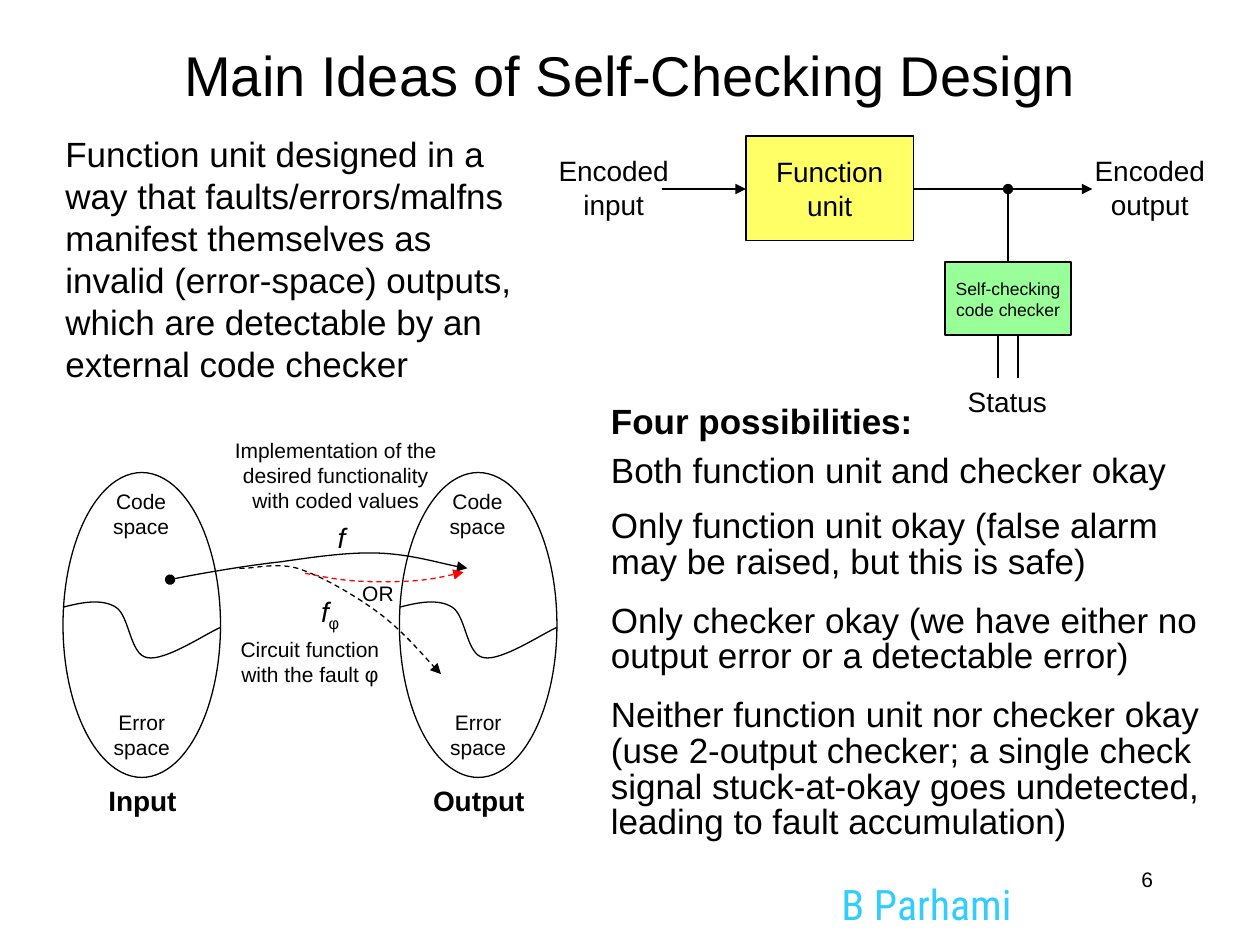
from lxml import etree
from pptx import Presentation
from pptx.dml.color import RGBColor
from pptx.enum import dml, shapes, text
from pptx.oxml import ns
from pptx.util import Inches, Pt

BLACK = "000000"
LEFT, CENTER, RIGHT = text.PP_ALIGN.LEFT, text.PP_ALIGN.CENTER, text.PP_ALIGN.RIGHT
TOP, MIDDLE = text.MSO_ANCHOR.TOP, text.MSO_ANCHOR.MIDDLE


def color(value):
    return RGBColor.from_string(value)


def format_run(run, size, fill=BLACK, bold=False, italic=False, font="Arial"):
    run.font.size = Pt(size)
    run.font.name = font
    run.font.bold = bold
    run.font.italic = italic
    run.font.color.rgb = color(fill)


def write(shape, content, size=12, align=CENTER, anchor=TOP, spacing=None,
          margin=0.1, **font):
    frame = shape.text_frame
    frame.word_wrap = True
    frame.vertical_anchor = anchor
    frame.margin_left = frame.margin_right = Inches(margin)
    frame.margin_top = frame.margin_bottom = Inches(0.05)
    for index, line in enumerate(content.split("\n")):
        paragraph = frame.add_paragraph() if index else frame.paragraphs[0]
        paragraph.alignment = align
        if spacing:
            paragraph.line_spacing = spacing
        run = paragraph.add_run()
        run.text = line
        format_run(run, size, **font)
    return frame


def add_text(slide, left, top, width, height, content, **style):
    box = slide.shapes.add_textbox(Inches(left), Inches(top), Inches(width), Inches(height))
    return write(box, content, **style)


def add_box(slide, kind, left, top, width, height, fill):
    shape = slide.shapes.add_shape(kind, Inches(left), Inches(top), Inches(width), Inches(height))
    shape.shadow.inherit = False
    shape.fill.solid()
    shape.fill.fore_color.rgb = color(fill)
    shape.line.color.rgb = color(BLACK)
    shape.line.width = Pt(0.75)
    return shape


def style_line(shape, stroke=BLACK, head=None, tail=None, dashed=False):
    shape.line.color.rgb = color(stroke)
    shape.line.width = Pt(0.75)
    if dashed:
        shape.line.dash_style = dml.MSO_LINE.DASH
    outline = shape.line._get_or_add_ln()
    for tag, kind in (("a:headEnd", head), ("a:tailEnd", tail)):
        if kind:
            etree.SubElement(outline, ns.qn(tag)).set("type", kind)


def add_line(slide, x1, y1, x2, y2, **style):
    connector = slide.shapes.add_connector(
        shapes.MSO_CONNECTOR.STRAIGHT, Inches(x1), Inches(y1), Inches(x2), Inches(y2))
    style_line(connector, **style)
    etree.SubElement(connector._element.spPr, ns.qn("a:effectLst"))


def add_curve(slide, left, top, points, **style):
    points = [(Inches(left + x), Inches(top + y)) for x, y in points]
    builder = slide.shapes.build_freeform(*points[0])
    builder.add_line_segments(points[1:], close=False)
    curve = builder.convert_to_shape()
    segments = list(curve._element.iter(ns.qn("a:lnTo")))
    outline = segments[0].getparent()
    for start in range(0, len(segments), 3):
        bezier = etree.SubElement(outline, ns.qn("a:cubicBezTo"))
        for segment in segments[start:start + 3]:
            bezier.append(segment[0])
            outline.remove(segment)
    curve.shadow.inherit = False
    curve.fill.background()
    style_line(curve, **style)


def add_title(slide, left, top, width, height):
    title = slide.shapes.title
    title.left, title.top = Inches(left), Inches(top)
    title.width, title.height = Inches(width), Inches(height)
    write(title, "Main Ideas of Self-Checking Design", size=32, anchor=MIDDLE)


def add_block_diagram(slide, left, top):
    wire = top + 0.42
    rectangle = shapes.MSO_SHAPE.RECTANGLE
    unit = add_box(slide, rectangle, left + 1.59, top, 1.33, 0.83, "FFFF66")
    write(unit, "Function\nunit", size=16, anchor=MIDDLE)
    checker = add_box(slide, rectangle, left + 3.17, top + 1, 1, 0.58, "99FF99")
    write(checker, "Self-checking code checker", size=10, anchor=MIDDLE, margin=0.02)
    add_line(slide, left + 0.92, wire, left + 1.59, wire, tail="triangle")
    add_line(slide, left + 2.92, wire, left + 4.34, wire, tail="triangle")
    add_line(slide, left + 3.67, top + 1, left + 3.67, wire, tail="oval")
    for x in (3.59, 3.75):
        add_line(slide, left + x, top + 1.59, left + x, top + 1.92)
    add_text(slide, left, top + 0.09, 1.08, 0.64, "Encoded input", size=16)
    add_text(slide, left + 4.17, top + 0.09, 1.25, 0.64, "Encoded output", size=16)
    add_text(slide, left + 2.75, top + 1.92, 1.83, 0.37, "Status", size=16)


def add_space(slide, left, top, name):
    add_box(slide, shapes.MSO_SHAPE.OVAL, left, top, 1.25, 2.42, "FFFFFF")
    add_curve(slide, left, top, [
        (0, 1.07), (0.15, 1.03), (0.31, 1), (0.42, 1.07), (0.53, 1.14),
        (0.53, 1.45), (0.67, 1.47), (0.81, 1.5), (1.15, 1.27), (1.25, 1.23)])
    add_text(slide, left + 0.08, top + 0.08, 1.08, 0.5, "Code space")
    add_text(slide, left + 0.25, top + 1.83, 0.75, 0.5, "Error space")
    add_text(slide, left - 0.08, top + 2.42, 1.42, 0.37, name, size=16, bold=True)


def add_mapping(slide, left, top):
    for offset, name in ((0, "Input"), (2.67, "Output")):
        add_space(slide, left + offset, top, name)
    add_curve(slide, left, top, [
        (0.85, 0.85), (0.99, 0.82), (1.44, 0.74), (1.72, 0.71), (2, 0.67),
        (2.27, 0.63), (2.51, 0.64), (2.76, 0.65), (3.06, 0.74), (3.21, 0.76)],
        head="oval", tail="triangle")
    add_curve(slide, left, top, [
        (1.4, 0.76), (1.48, 0.77), (1.68, 0.71), (1.86, 0.76), (2.05, 0.82),
        (2.31, 0.97), (2.5, 1.11), (2.69, 1.25), (2.9, 1.5), (3, 1.6)],
        tail="triangle", dashed=True)
    add_curve(slide, left, top, [
        (1.92, 0.8), (1.98, 0.81), (2.16, 0.85), (2.31, 0.86), (2.45, 0.87),
        (2.63, 0.87), (2.78, 0.86), (2.92, 0.85), (3.1, 0.81), (3.18, 0.79)],
        stroke="FF0000", tail="triangle", dashed=True)
    add_text(slide, left + 1.25, top - 0.33, 1.83, 0.7,
             "Implementation of the desired functionality with coded values")
    add_text(slide, left + 1.92, top + 0.33, 0.58, 0.37, "f", size=16, italic=True)
    faulty = add_text(slide, left + 1.83, top + 0.92, 0.58, 0.41, "f", size=16, italic=True)
    subscript = faulty.paragraphs[0].add_run()
    subscript.text = "φ"
    format_run(subscript, 16)
    subscript.font._element.set("baseline", "-25000")
    add_text(slide, left + 1.25, top + 1.25, 1.42, 0.5, "Circuit function with the fault φ")
    add_text(slide, left + 2.25, top + 0.81, 0.5, 0.3, "OR")


def add_possibilities(slide, left, top, width):
    style = dict(size=20, align=LEFT, spacing=0.85)
    heading = add_text(slide, left, top, width, 0.78,
                       "Four possibilities:\nBoth function unit and checker okay", **style)
    first, second = heading.paragraphs
    first.runs[0].font.bold = True
    second.space_before = Pt(8)
    cases = (
        (0.67, "Only function unit okay (false alarm may be raised, but this is safe)"),
        (0.67, "Only checker okay (we have either no output error or a detectable error)"),
        (1.24, "Neither function unit nor checker okay (use 2-output checker; a single check "
               "signal stuck-at-okay goes undetected, leading to fault accumulation)"),
    )
    for index, (height, case) in enumerate(cases):
        add_text(slide, left, top + 0.83 + 0.75 * index, width, height, case, **style)


def add_footer(slide, left, top):
    add_text(slide, left, top + 0.09, 1.7, 0.42, "B Parhami", size=24, align=LEFT,
             fill="33CCFF", font="Roboto Condensed")
    add_text(slide, left + 0.59, top, 2.08, 0.5, "6", align=RIGHT)


def main():
    presentation = Presentation()
    presentation.slide_width, presentation.slide_height = Inches(10), Inches(7.5)
    slide = presentation.slides.add_slide(presentation.slide_layouts[5])
    add_title(slide, 0.75, 0.25, 8.5, 0.67)
    add_block_diagram(slide, 4.33, 1.08)
    add_text(slide, 0.42, 1, 3.92, 2.1,
             "Function unit designed in a way that faults/errors/malfns manifest themselves as "
             "invalid (error-space) outputs, which are detectable by an external code checker",
             size=20, align=LEFT)
    add_mapping(slide, 0.5, 3.75)
    add_possibilities(slide, 4.75, 3.17, 4.92)
    add_footer(slide, 6.58, 6.83)
    presentation.save("out.pptx")


if __name__ == "__main__":
    main()
